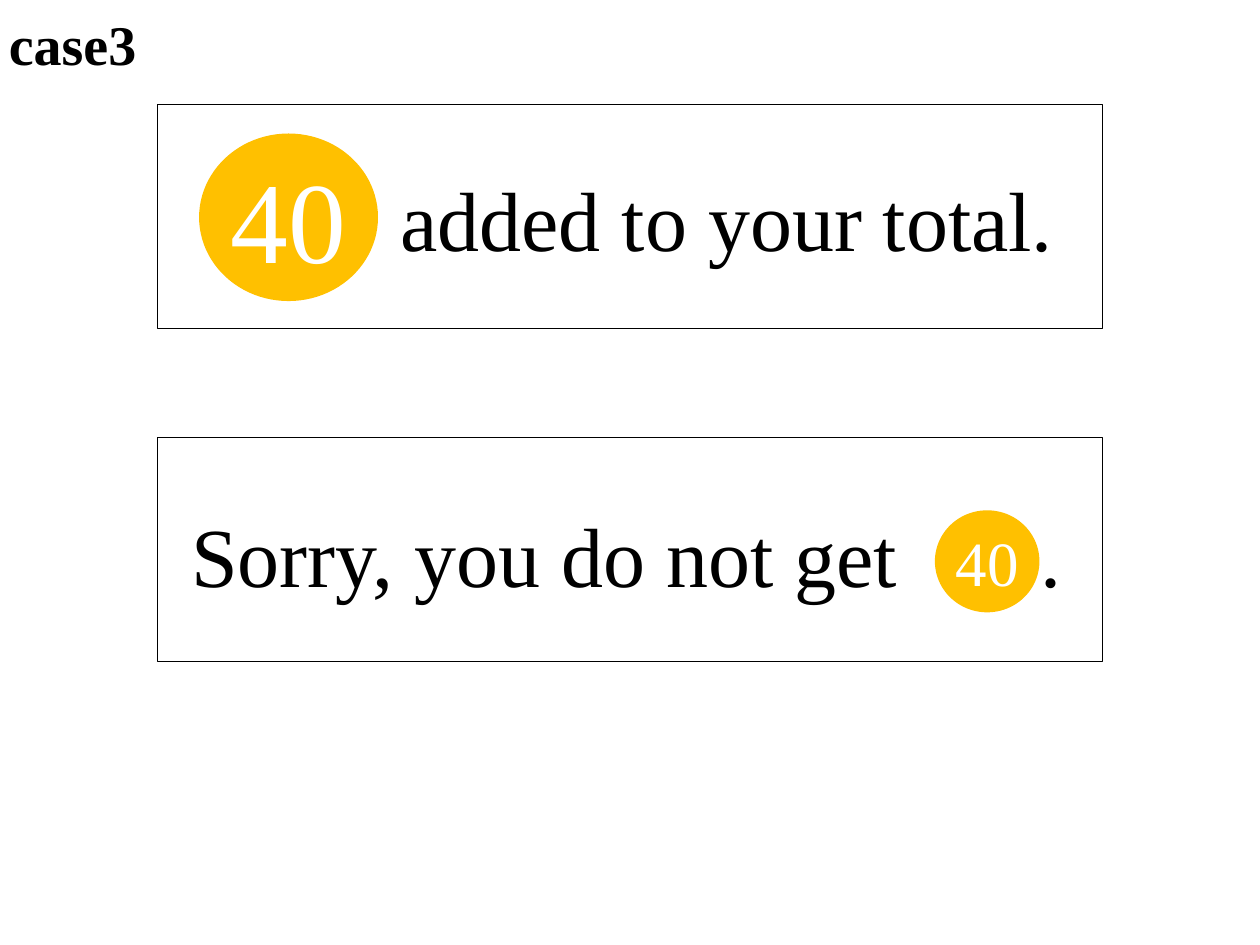
from lxml import etree
from pptx import Presentation, util as u
from pptx.dml.color import RGBColor
from pptx.enum import shapes, text
from pptx.oxml.ns import qn

TITLE = {"words": "case3", "at": (-0.03, 0, 1.92, 0.75)}
CARDS = [
    {"words": "added to your total.", "text_at": (3.08, 0.89, 6, 1.78), "top": 0.83,
     "coin": "40", "coin_at": (1.58, 1.06, 1.42, 1.33), "coin_size": 66},
    {"words": "Sorry, you do not get\t.", "text_at": (1.42, 3.56, 7.5, 1.78), "top": 3.47,
     "coin": "40", "coin_at": (7.42, 4.05, 0.83, 0.81), "coin_size": 36, "tab": 6.74},
]
CARD_LEFT, CARD_WIDTH, CARD_HEIGHT = 1.25, 7.5, 1.78
BLACK, WHITE, GOLD = "000000", "FFFFFF", "FFC000"


def color(value):
    """Return the colour for a hex string."""
    return RGBColor.from_string(value)


def inches(values):
    """Return the values as lengths."""
    return [u.Inches(value) for value in values]


def write(box, words, size, ink, bold=False, align=text.PP_ALIGN.LEFT, spacing=0.9, **frame_format):
    """Put one formatted paragraph in a box."""
    frame = box.text_frame
    settings = {"word_wrap": True, "auto_size": text.MSO_AUTO_SIZE.NONE,
                "vertical_anchor": text.MSO_ANCHOR.MIDDLE, **frame_format}
    for name, value in settings.items():
        setattr(frame, name, value)
    para = frame.paragraphs[0]
    para.alignment, para.line_spacing = align, spacing
    span = para.add_run()
    span.text = words
    for name, value in {"name": "Times New Roman", "size": u.Pt(size), "bold": bold}.items():
        setattr(span.font, name, value)
    span.font.color.rgb = color(ink)
    return para


def add_tab_stop(para, position):
    """Add a left tab stop to a paragraph."""
    stops = etree.SubElement(para._p.get_or_add_pPr(), qn("a:tabLst"))
    etree.SubElement(stops, qn("a:tab"), pos=str(u.Inches(position)), algn="l")


def add_card(page, card):
    """Draw a framed sentence with its coin."""
    group = page.shapes.add_group_shape()
    para = write(group.shapes.add_textbox(*inches(card["text_at"])), card["words"], 48, BLACK)
    if "tab" in card:
        add_tab_stop(para, card["tab"])

    frame_at = (CARD_LEFT, card["top"], CARD_WIDTH, CARD_HEIGHT)
    frame = group.shapes.add_shape(shapes.MSO_SHAPE.RECTANGLE, *inches(frame_at))
    frame.shadow.inherit = False
    frame.fill.background()
    frame.line.color.rgb = color(BLACK)
    frame.line.width = u.Pt(0.75)

    coin = group.shapes.add_shape(shapes.MSO_SHAPE.OVAL, *inches(card["coin_at"]))
    coin.shadow.inherit = False
    coin.fill.solid()
    coin.fill.fore_color.rgb = color(GOLD)
    coin.line.fill.background()
    margins = {f"margin_{side}": u.Inches(0.04) for side in ("left", "top", "right", "bottom")}
    write(coin, card["coin"], card["coin_size"], WHITE, align=text.PP_ALIGN.CENTER,
          spacing=1.0, **{**margins, "word_wrap": False})


def main():
    """Build and save the deck."""
    deck = Presentation()
    deck.slide_width, deck.slide_height = inches((10, 7.5))
    page = deck.slides.add_slide(deck.slide_layouts[5])
    for card in CARDS:
        add_card(page, card)
    title = page.shapes.title
    title.left, title.top, title.width, title.height = inches(TITLE["at"])
    write(title, TITLE["words"], 32, BLACK, bold=True)
    deck.save("out.pptx")


if __name__ == "__main__":
    main()
